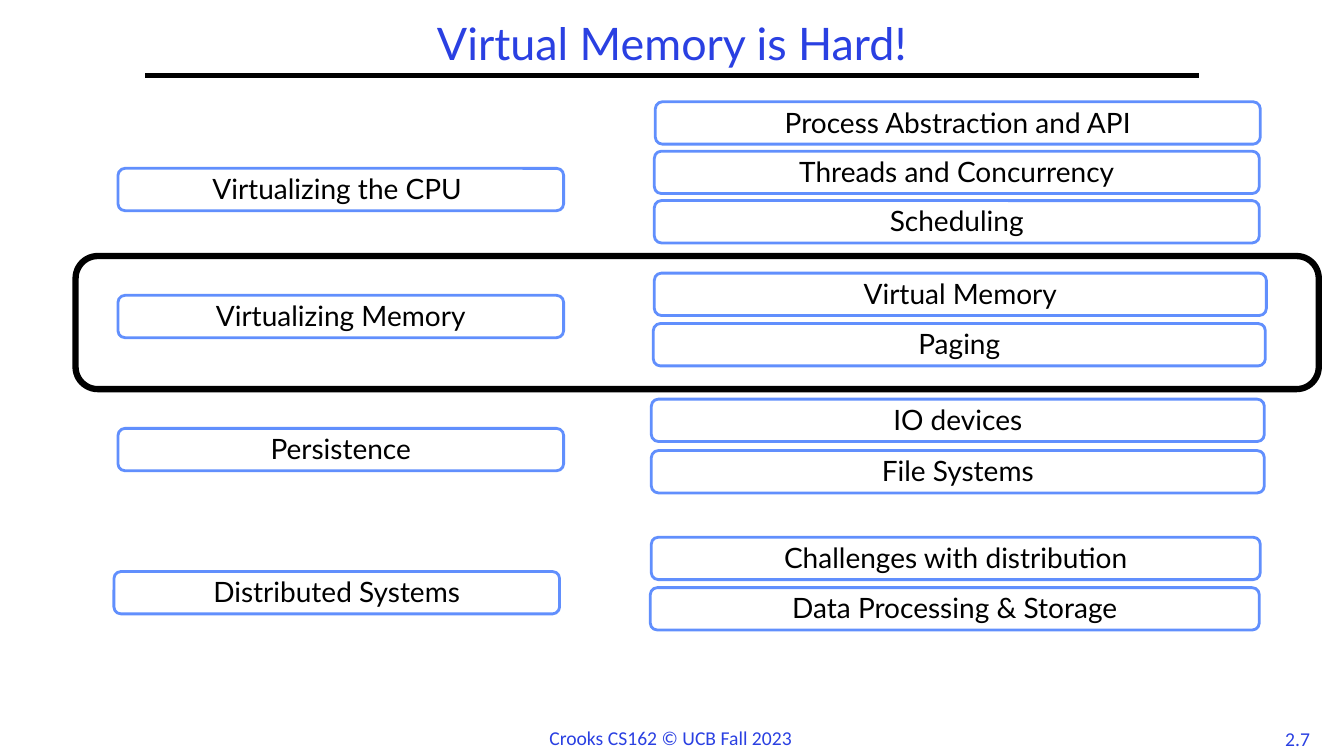
from lxml.etree import SubElement
from pptx import Presentation
from pptx.dml.color import RGBColor
from pptx.enum.shapes import MSO_CONNECTOR, MSO_SHAPE
from pptx.enum.text import MSO_ANCHOR, PP_ALIGN
from pptx.oxml.ns import qn
from pptx.util import Inches, Pt

COLORS = {"ink": "000000", "paper": "FFFFFF", "title": "2A40E2", "edge": "618FFD"}
FORMATS = {
    "title": {"name": "Lato", "size": Pt(32)},
    "topic": {"name": "Lato", "size": Pt(20)},
    "footer": {"name": "Calibri", "size": Pt(14)},
}
HEIGHT = 0.42
GROUPS = [
    ("Virtualizing the CPU ", 1.17, 1.67, 6,
     [("Process Abstraction and API", 6.5, 1.01),
      ("Threads and Concurrency", 6.49, 1.5),
      ("Scheduling", 6.49, 1.99)]),
    ("Virtualizing Memory", 1.17, 2.93, 6.07,
     [("Virtual Memory", 6.49, 2.71), ("Paging", 6.48, 3.21)]),
    ("Persistence", 1.17, 4.25, 6.08,
     [("IO devices", 6.46, 3.96), ("File Systems", 6.46, 4.47)]),
    ("Distributed Systems", 1.13, 5.67, 6.04,
     [("Challenges with distribution", 6.46, 5.33),
      ("Data Processing & Storage", 6.45, 5.83)]),
]


class Painter:
    def __init__(self, slide):
        self.slide = slide

    def color(self, name):
        return RGBColor.from_string(COLORS[name])

    def letter(self, shape, text, style, color, align, spacing=1.0):
        para = shape.text_frame.paragraphs[0]
        para.alignment = align
        para.line_spacing = spacing
        run = para.add_run()
        run.text = text
        for key, value in FORMATS[style].items():
            setattr(run.font, key, value)
        run.font.color.rgb = self.color(color)

    def label(self, text, place, style, align, spacing=1.0, wrap=False):
        box = self.slide.shapes.add_textbox(*map(Inches, place))
        box.text_frame.word_wrap = wrap
        box.text_frame.vertical_anchor = MSO_ANCHOR.MIDDLE if wrap else MSO_ANCHOR.TOP
        self.letter(box, text, style, "title", align, spacing)

    def frame(self, place, edge, width):
        box = self.slide.shapes.add_shape(
            MSO_SHAPE.ROUNDED_RECTANGLE, *map(Inches, place))
        box.shadow.inherit = False
        box.fill.solid()
        box.fill.fore_color.rgb = self.color("paper")
        box.line.color.rgb = self.color(edge)
        box.line.width = Pt(width)
        return box

    def topic(self, text, left, top, width):
        box = self.frame((left, top, width, HEIGHT), "edge", 2)
        box.text_frame.word_wrap = True
        box.text_frame.vertical_anchor = MSO_ANCHOR.TOP
        self.letter(box, text, "topic", "ink", PP_ALIGN.CENTER, 0.9)

    def rule(self, left, right, top):
        line = self.slide.shapes.add_connector(
            MSO_CONNECTOR.STRAIGHT, *map(Inches, (left, top, right, top)))
        line.line.color.rgb = self.color("ink")
        line.line.width = Pt(3)
        SubElement(line._element.spPr, qn("a:effectLst"))


def main():
    deck = Presentation()
    deck.slide_width, deck.slide_height = Inches(13.33), Inches(7.5)
    paint = Painter(deck.slides.add_slide(deck.slide_layouts[6]))
    paint.label("2.7", (12.58, 7.16, 0.58, 0.33), "footer", PP_ALIGN.CENTER)
    paint.rule(1.44, 11.89, 0.75)
    paint.label("Crooks CS162 © UCB Fall 2023", (5.35, 7.15, 2.63, 0.34),
                "footer", PP_ALIGN.LEFT)
    paint.frame((0.75, 2.54, 12.33, 1.32), "ink", 4.5)
    paint.label("Virtual Memory is Hard!", (0, 0.17, 13.33, 0.58), "title",
                PP_ALIGN.CENTER, 0.9, True)
    for theme, left, top, width, topics in GROUPS:
        paint.topic(theme, left, top, 4.42)
        for text, x, y in topics:
            paint.topic(text, x, y, width)
    deck.save("out.pptx")


if __name__ == "__main__":
    main()
